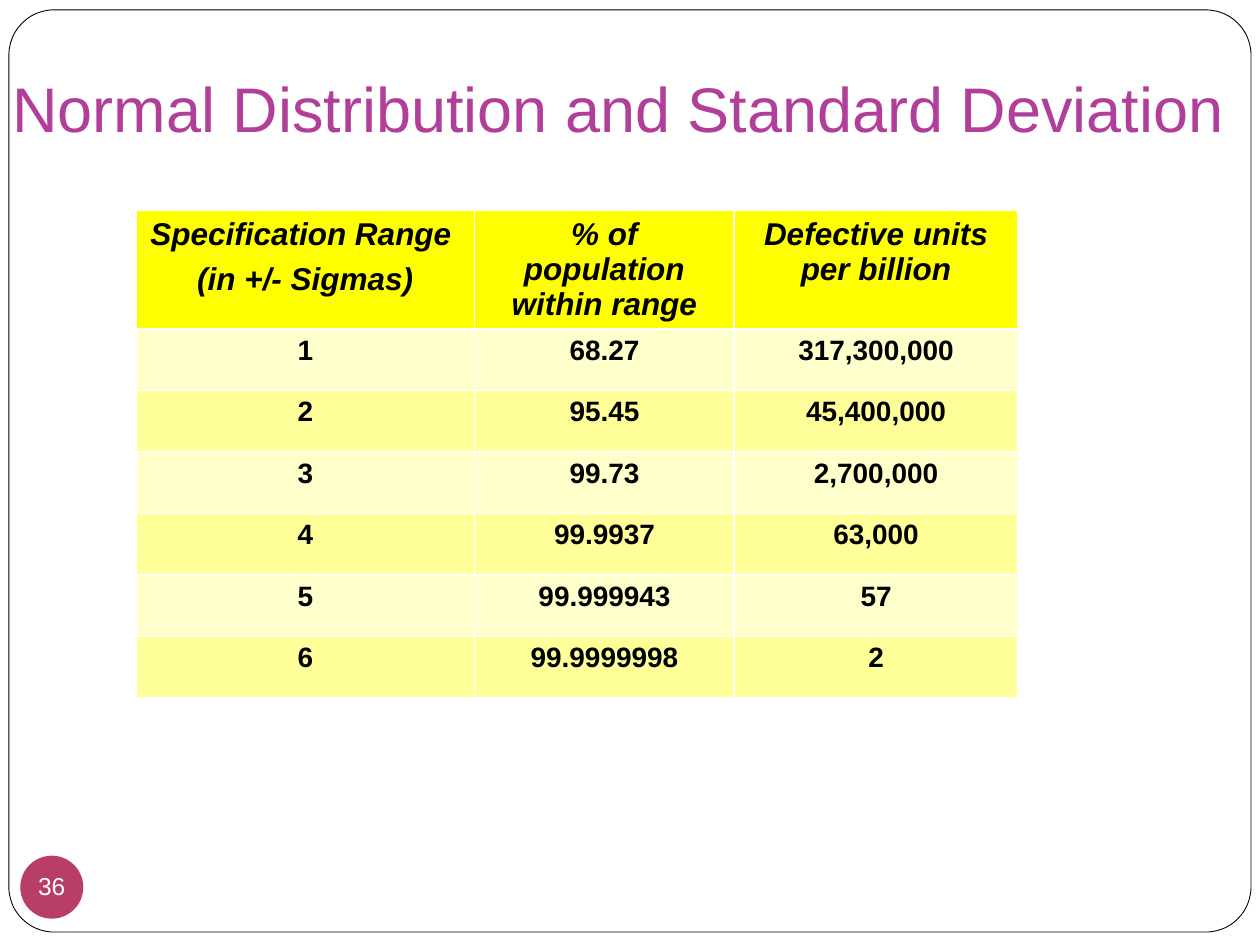
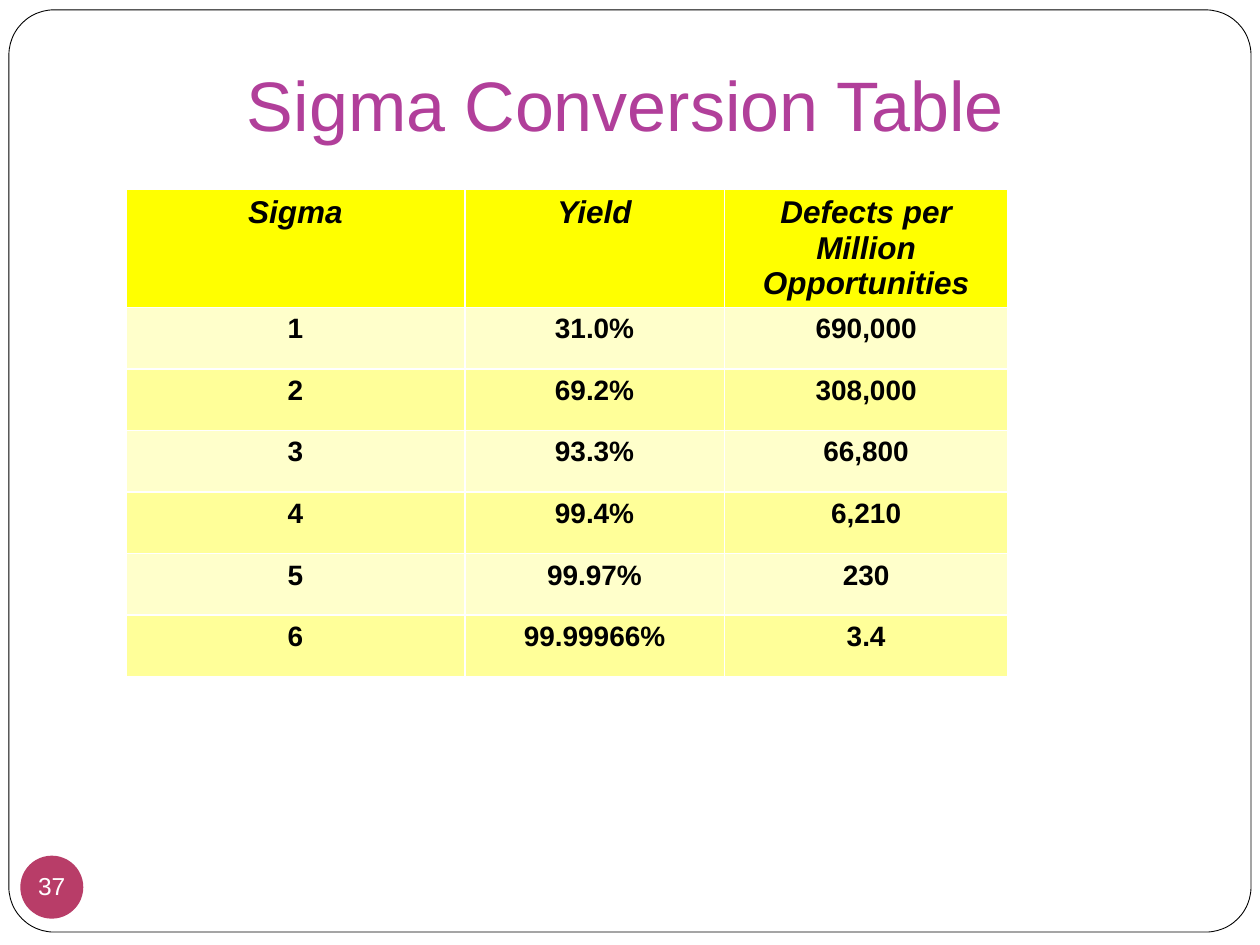
import pptx
import pptx.util
import pptx.dml.color
import pptx.enum.shapes
import pptx.enum.text
import pptx.oxml
import pptx.oxml.ns
from lxml import etree

Cm, Pt = pptx.util.Cm, pptx.util.Pt
ALIGN = pptx.enum.text.PP_ALIGN
ANCHOR = pptx.enum.text.MSO_ANCHOR
SHAPE = pptx.enum.shapes.MSO_SHAPE

FONT = "Arial"
WHITE, BLACK = "FFFFFF", "000000"
TITLE, BADGE = "B13F9A", "B83D68"
HEADER, BAND = "FFFF00", "FFFF99"

COL_WIDTHS = [6.83, 5.23, 5.72]
HEADER_HEIGHT, ROW_HEIGHT = 2.11, 1.24


def rgb(color):
    return pptx.dml.color.RGBColor.from_string(color)


def fill(part, color):
    part.fill.solid()
    part.fill.fore_color.rgb = rgb(color)


def write(tf, text, size, color, align=ALIGN.CENTER, bold=False, italic=False,
          before=0, spacing=None):
    """Write text into a frame, one paragraph a line."""
    for i, line in enumerate(text.split("\n")):
        p = tf.paragraphs[0] if i == 0 else tf.add_paragraph()
        p.alignment = align
        p.space_before = Pt(before)
        if spacing:
            p.line_spacing = spacing
        r = p.add_run()
        r.text = line
        r.font.name, r.font.size = FONT, Pt(size)
        r.font.bold, r.font.italic = bold, italic
        r.font.color.rgb = rgb(color)


def add_shape(s, kind, box, color):
    sp = s.shapes.add_shape(kind, *map(Cm, box))
    sp.shadow.inherit = False
    fill(sp, color)
    sp.line.fill.background()
    return sp


def add_frame(prs, s, box):
    """Draw the rounded page frame and move it to the back of the master."""
    sp = add_shape(s, SHAPE.ROUNDED_RECTANGLE, box, WHITE)
    sp.adjustments[0] = 0.049
    sp.line.color.rgb = rgb(BLACK)
    sp.line.width = Pt(0.5)
    sp.element.nvSpPr.cNvPr.set("id", "100")
    prs.slide_master.shapes.element.insert(2, sp.element)


def set_title(s, text, box, size, align):
    sp = s.shapes.title
    sp.left, sp.top, sp.width, sp.height = map(Cm, box)
    tf = sp.text_frame
    tf.auto_size = pptx.enum.text.MSO_AUTO_SIZE.NONE
    tf.word_wrap = True
    tf.vertical_anchor = ANCHOR.BOTTOM
    tf.margin_left = tf.margin_right = tf.margin_bottom = Cm(0.25)
    tf.margin_top = Cm(0.13)
    write(tf, text, size, TITLE, align)


def add_badge(s, number, box):
    sp = add_shape(s, SHAPE.OVAL, box, BADGE)
    tf = sp.text_frame
    tf.word_wrap = False
    tf.vertical_anchor = ANCHOR.MIDDLE
    tf.margin_left = tf.margin_right = tf.margin_top = tf.margin_bottom = 0
    write(tf, str(number), 14, WHITE, before=2.8, spacing=0.9)


def set_borders(cell):
    tc_pr = cell._tc.get_or_add_tcPr()
    for i, side in enumerate(("lnL", "lnR", "lnT", "lnB")):
        tc_pr.insert(i, pptx.oxml.parse_xml(
            f'<a:{side} {pptx.oxml.ns.nsdecls("a")} w="12700"><a:solidFill>'
            f'<a:srgbClr val="{WHITE}"/></a:solidFill></a:{side}>'))


def set_half_transparent(cell):
    clr = cell._tc.tcPr.find(".//" + pptx.oxml.ns.qn("a:srgbClr"))
    etree.SubElement(clr, pptx.oxml.ns.qn("a:alpha")).set("val", "50000")


def add_sigma_table(s, left, top, rows):
    """Header row, then data rows in alternating light and full yellow."""
    height = HEADER_HEIGHT + ROW_HEIGHT * (len(rows) - 1)
    table = s.shapes.add_table(len(rows), len(COL_WIDTHS), Cm(left), Cm(top),
                               Cm(sum(COL_WIDTHS)), Cm(height)).table
    table.first_row = table.horz_banding = False
    for col, width in zip(table.columns, COL_WIDTHS):
        col.width = Cm(width)
    for i, values in enumerate(rows):
        header = i == 0
        table.rows[i].height = Cm(HEADER_HEIGHT if header else ROW_HEIGHT)
        for j, value in enumerate(values):
            cell = table.cell(i, j)
            fill(cell, HEADER if header else BAND)
            if i % 2:
                set_half_transparent(cell)
            set_borders(cell)
            write(cell.text_frame, value, 18 if header else 16, BLACK,
                  bold=True, italic=header, before=5.8)


def add_table_slide(prs, number, title, title_box, size, align, table_at, rows):
    s = prs.slides.add_slide(prs.slide_layouts[5])
    set_title(s, title, title_box, size, align)
    add_sigma_table(s, *table_at, rows)
    add_badge(s, number, (0.41, 17.25, 1.27, 1.27))
    return s


prs = pptx.Presentation()
prs.slide_width, prs.slide_height = Cm(25.4), Cm(19.05)

# Share of the population within each specification range
s = add_table_slide(
    prs, 36, "Normal Distribution and Standard Deviation",
    (0, 0, 25.4, 3.18), 36, ALIGN.LEFT, (2.74, 4.24), [
        ("Specification Range \n(in +/- Sigmas)", "% of population within range",
         "Defective units per billion"),
        ("1", "68.27", "317,300,000"),
        ("2", "95.45", "45,400,000"),
        ("3", "99.73", "2,700,000"),
        ("4", "99.9937", "63,000"),
        ("5", "99.999943", "57"),
        ("6", "99.9999998", "2"),
    ])
add_frame(prs, s, (0.18, 0.2, 25.04, 18.59))

# Sigma level to yield and defects
add_table_slide(
    prs, 37, "Sigma Conversion Table",
    (0.64, 0.84, 23.93, 2.34), 40, ALIGN.CENTER, (2.54, 3.81), [
        ("Sigma", "Yield", "Defects per Million Opportunities"),
        ("1", "31.0%", "690,000"),
        ("2", "69.2%", "308,000"),
        ("3", "93.3%", "66,800"),
        ("4", "99.4%", "6,210"),
        ("5", "99.97%", "230"),
        ("6", "99.99966%", "3.4"),
    ])

prs.save("out.pptx")
